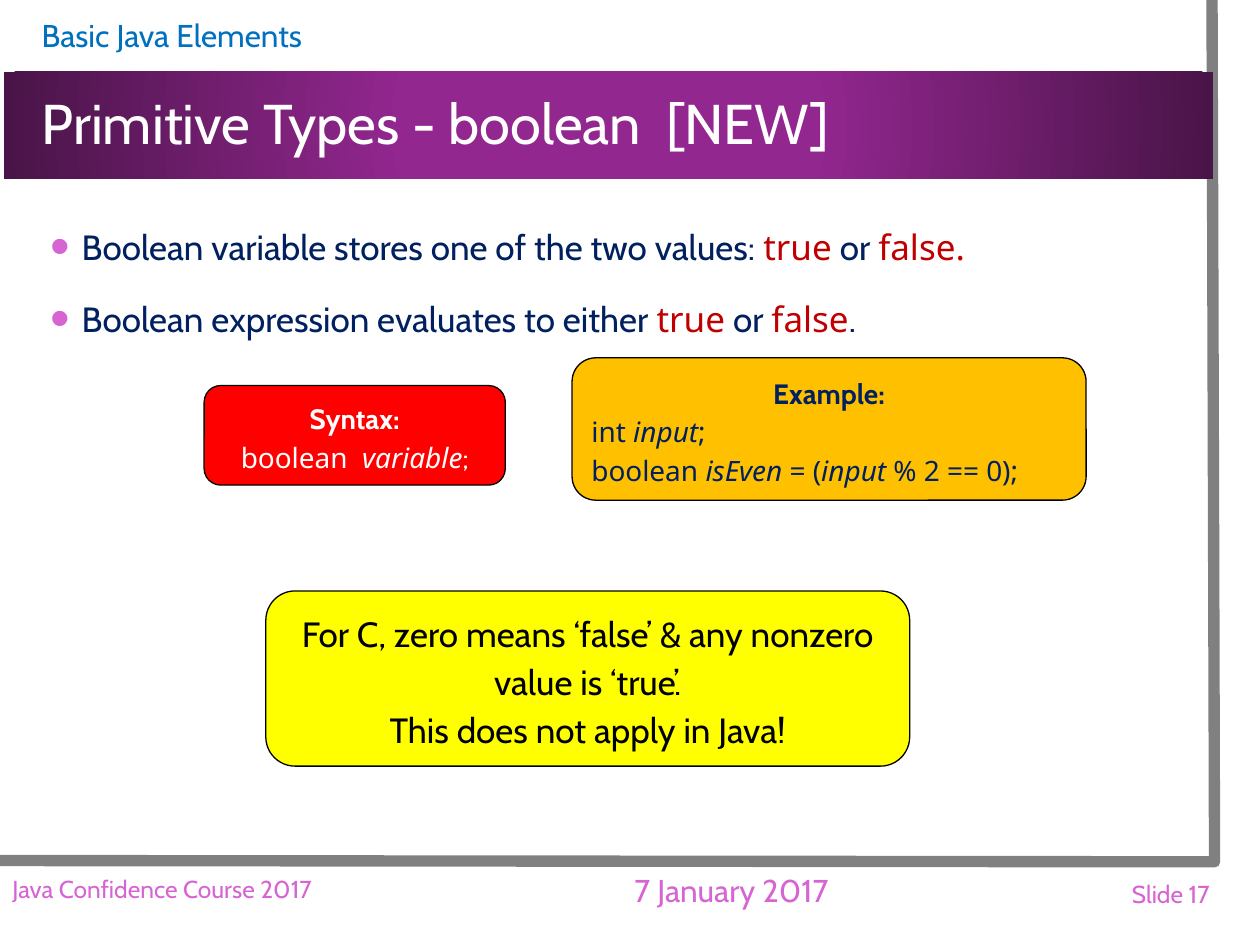
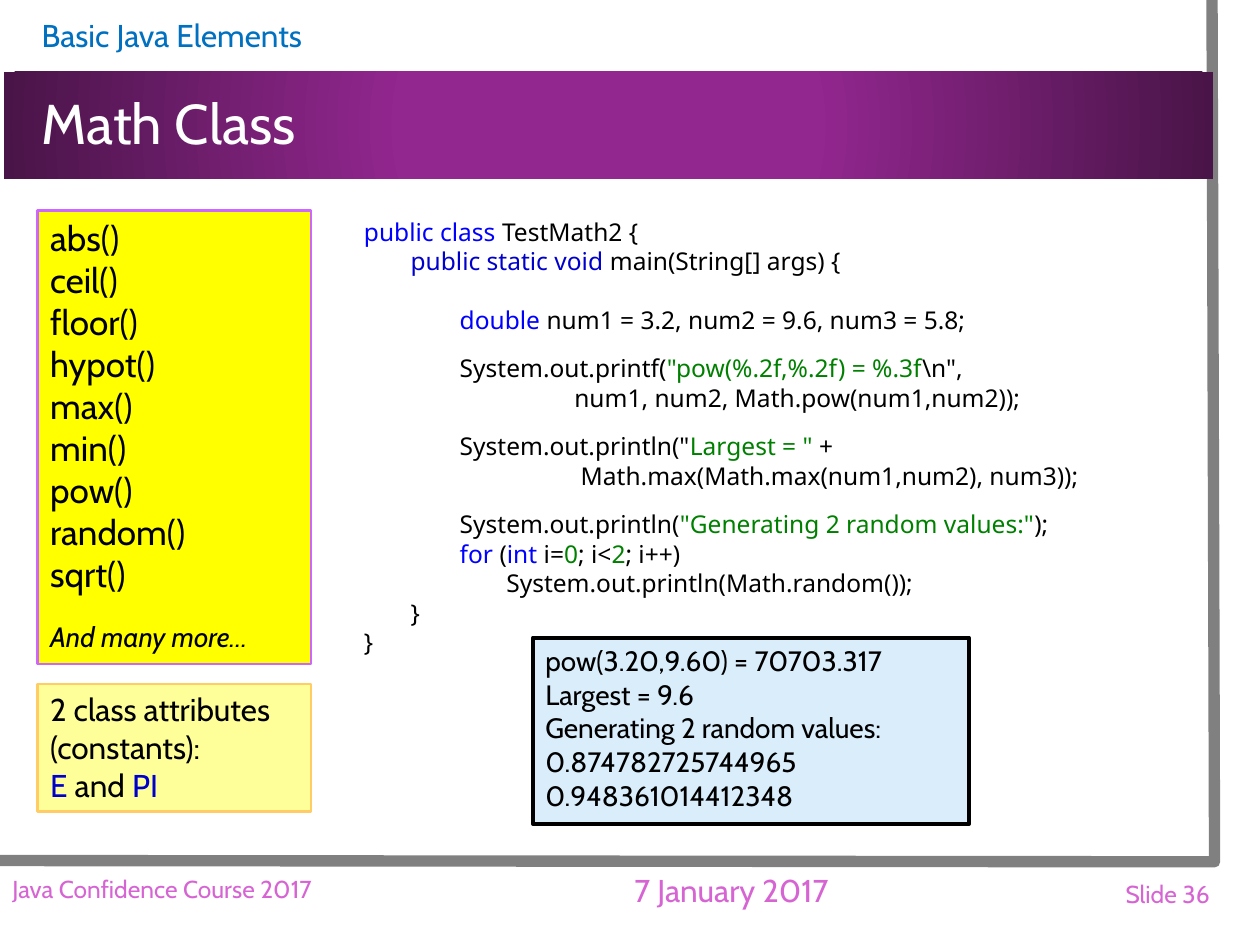
from lxml import etree
from pptx import Presentation
from pptx import util as u
from pptx.dml.color import RGBColor
from pptx.enum import shapes, text
from pptx.oxml import parse_xml
from pptx.oxml.ns import qn

HEX = {
    "white": "FFFFFF", "black": "000000", "gray": "808080", "sky": "0070C0",
    "plum": "92278F", "dark": "491447", "pink": "D665D3", "navy": "002060",
    "crimson": "C00000", "red": "FF0000", "amber": "FFC000", "yellow": "FFFF00",
    "lilac": "CC66FF", "cream": "FFFF99", "peach": "FFCC66", "ice": "DAEDFB",
    "blue": "0000FF", "ink": "0000CC", "green": "008000",
}
SANS, CODE = "Cabin", "Noto Sans"
LEFT, MID, RIGHT = text.PP_ALIGN.LEFT, text.PP_ALIGN.CENTER, text.PP_ALIGN.RIGHT
TOP, CENTER = text.MSO_ANCHOR.TOP, text.MSO_ANCHOR.MIDDLE
RECT, ROUND = shapes.MSO_SHAPE.RECTANGLE, shapes.MSO_SHAPE.ROUNDED_RECTANGLE
TABS = (0.37, 0.76, 1.13)
VAR = {"italic": True}


def rgb(name):
    return RGBColor.from_string(HEX[name])


def style(font, face=None, size=None, color=None, bold=None, italic=None):
    if face:
        font.name = face
    if size:
        font.size = u.Pt(size)
    if color:
        font.color.rgb = rgb(color)
    if bold is not None:
        font.bold = bold
    if italic is not None:
        font.italic = italic


def add_bullet(para):
    props = para._p.get_or_add_pPr()
    props.set("marL", str(u.Inches(0.25)))
    props.set("indent", str(-u.Inches(0.25)))
    color = etree.SubElement(props, qn("a:buClr"))
    etree.SubElement(color, qn("a:srgbClr"), val=HEX["pink"])
    etree.SubElement(props, qn("a:buSzPct"), val="160000")
    etree.SubElement(props, qn("a:buFont"), typeface="Arial")
    etree.SubElement(props, qn("a:buChar"), char="•")


def add_tabs(para):
    stops = etree.SubElement(para._p.get_or_add_pPr(), qn("a:tabLst"))
    for stop in TABS:
        etree.SubElement(stops, qn("a:tab"), pos=str(u.Inches(stop)), algn="l")


def write(shape, lines, anchor=TOP, align=LEFT, space=None, left=0.1,
          mark=None, **base):
    """Fill a shape with lines; each is a string or (runs, changes to base).

    A run is a string or (string, style); mark adds bullets or tabs.
    """
    frame = shape.text_frame
    frame.word_wrap = True
    frame.vertical_anchor = anchor
    frame.margin_left = u.Inches(left)
    for n, line in enumerate(lines):
        para = frame.paragraphs[0] if n == 0 else frame.add_paragraph()
        runs, extra = (line, {}) if isinstance(line, str) else line
        look = {"face": SANS, "color": "black", **base, **extra}
        if mark:
            mark(para)
        para.alignment = look.pop("align", align)
        before = look.pop("before", 0)
        if before:
            para.space_before = u.Pt(before)
        if space:
            para.line_spacing = space
        style(para.font, **look)
        for part in [runs] if isinstance(runs, str) else runs:
            words, change = (part, {}) if isinstance(part, str) else part
            run = para.add_run()
            run.text = words
            style(run.font, **change)


def add_text(slide, at, lines, **look):
    write(slide.shapes.add_textbox(*map(u.Inches, at)), lines, **look)


def add_box(slide, at, fill, edge=None, width=0.75, kind=RECT):
    box = slide.shapes.add_shape(kind, *map(u.Inches, at))
    box.shadow.inherit = False
    box.fill.solid()
    box.fill.fore_color.rgb = rgb(fill)
    if edge:
        box.line.color.rgb = rgb(edge)
        box.line.width = u.Pt(width)
    else:
        box.line.fill.background()
    return box


def add_band(slide):
    """Title band with a gradient that darkens outwards from the centre."""
    band = add_box(slide, (0.03, 0.57, 9.6, 0.85), "plum")
    stops = "".join(
        f'<a:gs pos="{pos}"><a:srgbClr val="{HEX[name]}"/></a:gs>'
        for pos, name in ((0, "plum"), (34000, "plum"), (100000, "dark")))
    blend = parse_xml(
        '<a:gradFill xmlns:a="http://schemas.openxmlformats.org/drawingml/2006/main"'
        f' rotWithShape="1"><a:gsLst>{stops}</a:gsLst><a:path path="circle">'
        '<a:fillToRect l="50000" t="50000" r="50000" b="50000"/>'
        '</a:path></a:gradFill>')
    props = band._element.spPr
    props.replace(props.find(qn("a:solidFill")), blend)


def add_border(slide):
    """Grey line down the right and along the bottom, in 1/100 inch."""
    pen = slide.shapes.build_freeform(962, 0, scale=u.Inches(0.01))
    pen.add_line_segments([(964, 684), (-2, 683)], close=False)
    border = pen.convert_to_shape()
    border.shadow.inherit = False
    border.fill.background()
    border.line.color.rgb = rgb("gray")
    border.line.width = u.Pt(6.5)


def add_page(deck, title, number):
    slide = deck.slides.add_slide(deck.slide_layouts[6])
    add_border(slide)
    add_band(slide)
    head = {"anchor": CENTER, "left": 0.3}
    add_text(slide, (0.03, 0.08, 9.6, 0.4), ["Basic Java Elements"],
             size=18, color="sky", **head)
    add_text(slide, (0.03, 0.58, 9.6, 0.84), [title],
             size=32, color="white", space=0.9, **head)
    feet = (
        ((4.23, 6.85, 3.15, 0.43), "7 January 2017", 18, MID),
        ((0, 6.85, 4.23, 0.41), "Java Confidence Course 2017", 14, LEFT),
        ((7.39, 6.86, 2.31, 0.47), f"Slide {number}", 14, RIGHT),
    )
    for at, words, size, align in feet:
        add_text(slide, at, [words], anchor=CENTER, align=align,
                 size=size, color="pink")
    return slide


def add_boolean(deck):
    slide = add_page(deck, "Primitive Types - boolean  [NEW]", 17)
    key = {"face": CODE, "color": "crimson"}
    add_text(slide, (0.3, 1.67, 9.16, 5.02), [
        (["Boolean variable stores one of the two values: ", ("true", key),
          " or ", ("false.", key)], {}),
        (["Boolean expression evaluates to either ", ("true", key),
          " or ", ("false", key), "."], {"before": 12}),
    ], mark=add_bullet, align=text.PP_ALIGN.JUSTIFY, space=u.Pt(29),
        size=20, color="navy")

    note = add_box(slide, (2.11, 4.69, 5.11, 1.39), "yellow", "black", kind=ROUND)
    write(note, ["For C, zero means ‘false’ & any nonzero value is ‘true’.",
                 "This does not apply in Java!"],
          anchor=CENTER, align=MID, space=1.14, size=20)

    head = {"face": SANS, "bold": True, "align": MID}
    code = {"anchor": CENTER, "space": u.Pt(22), "size": 16, "face": CODE}
    syntax = add_box(slide, (1.62, 3.06, 2.39, 0.79), "red", "black", kind=ROUND)
    write(syntax, [
        ("Syntax:", head),
        (["boolean  ", ("variable", VAR), (";", {"face": SANS})], {}),
    ], align=MID, color="white", **code)

    sample = add_box(slide, (4.54, 2.84, 4.08, 1.13), "amber", "black", kind=ROUND)
    write(sample, [
        ("Example:", head),
        (["int ", ("input", VAR), ";"], {}),
        (["boolean ", ("isEven", VAR), " = (", ("input", VAR),
          " % 2 == 0);"], {}),
    ], color="navy", **code)


def add_math(deck):
    slide = add_page(deck, "Math Class", 36)
    blue, ink, green = ({"color": name} for name in ("blue", "ink", "green"))
    names = "abs ceil floor hypot max min pow random sqrt".split()
    calls = add_box(slide, (0.3, 1.67, 2.17, 3.6), "yellow", "lilac", 1.5)
    write(calls, [f"{name}()" for name in names]
          + [("And many more…", {"size": 16, "italic": True, "before": 14.4})],
          size=20)

    consts = add_box(slide, (0.3, 5.43, 2.17, 1.01), "cream", "peach", 1.5)
    write(consts, ["2 class attributes (constants):",
                   ([("E", ink), " and ", ("PI", ink)], {})], size=18)

    gap = {"before": 10.9}
    add_text(slide, (2.79, 1.67, 7.21, 3.62), [
        ([("public class ", blue), "TestMath2 {"], {}),
        (["\t", ("public static void ", ink), "main(String[] args) {"], {}),
        (["\t\t", ("double", blue), " num1 = 3.2, num2 = 9.6, num3 = 5.8;"],
         {"before": 16.8}),
        (["\t\tSystem.out.printf(", ('"pow(%.2f,%.2f) = %.3f', green),
          '\\n",'], gap),
        "\t\t                  num1, num2, Math.pow(num1,num2));",
        (['\t\tSystem.out.println("', ('Largest = " ', green), "+"], gap),
        "\t\t                   Math.max(Math.max(num1,num2), num3));",
        (["\t\tSystem.out.println(", ('"Generating 2 random values:"', green),
          ");"], gap),
        (["\t\t", ("for", blue), " (", ("int", blue), " i=", ("0", green),
          "; i<", ("2", green), "; i++)"], {}),
        "\t\t\tSystem.out.println(Math.random());",
        "\t}",
        "}",
    ], mark=add_tabs, space=u.Pt(16.8), size=14, face=CODE)

    output = add_box(slide, (4.23, 5.06, 3.46, 1.48), "ice", "black", 2.25)
    write(output, ["pow(3.20,9.60) = 70703.317", "Largest = 9.6",
                   "Generating 2 random values:", "0.874782725744965",
                   "0.948361014412348"], size=16)


def main():
    deck = Presentation()
    deck.slide_width, deck.slide_height = u.Inches(10), u.Inches(7.5)
    add_boolean(deck)
    add_math(deck)
    deck.save("out.pptx")


if __name__ == "__main__":
    main()
